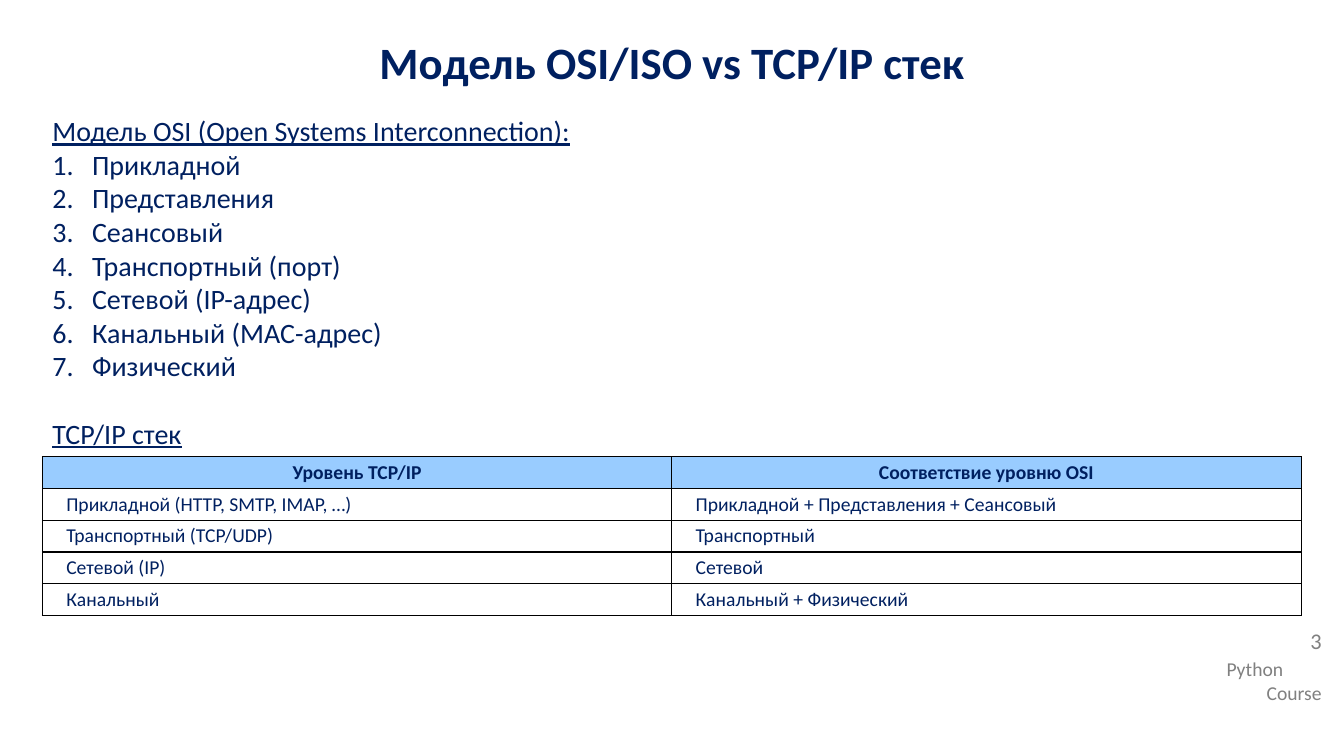
from lxml import etree
from pptx import Presentation
from pptx.dml.color import RGBColor
from pptx.enum import text
from pptx.oxml import ns
from pptx.util import Cm, Pt

NAVY, GREY, SKY, WHITE, BLACK = "002060", "808080", "99CCFF", "FFFFFF", "000000"
LEFT, WIDTH = 1.07, 31.72
ALIGN = text.PP_ALIGN

LAYERS = [
    "Прикладной", "Представления", "Сеансовый", "Транспортный (порт)",
    "Сетевой (IP-адрес)", "Канальный (MAC-адрес)", "Физический",
]
STACK = [
    ("Уровень TCP/IP", "Соответствие уровню OSI"),
    ("Прикладной (HTTP, SMTP, IMAP, …)", "Прикладной + Представления + Сеансовый"),
    ("Транспортный (TCP/UDP)", "Транспортный"),
    ("Сетевой (IP)", "Сетевой"),
    ("Канальный", "Канальный + Физический"),
]


def colour(value):
    return RGBColor.from_string(value)


def add_xml(parent, tag, **attributes):
    return etree.SubElement(parent, ns.qn(tag), attributes)


def write(para, words, size, ink=NAVY, align=ALIGN.LEFT, **font):
    para.alignment = align
    span = para.add_run()
    span.text = words
    span.font.color.rgb = colour(ink)
    for name, value in {"name": "Calibri", "size": Pt(size), **font}.items():
        setattr(span.font, name, value)


def indent(para, left, first=0):
    properties = para._p.get_or_add_pPr()
    properties.set("marL", str(Cm(left)))
    properties.set("indent", str(Cm(first)))
    return properties


def add_paras(frame, lines):
    """Write (words, format) pairs, one per paragraph, and return the paragraphs."""
    for number, (words, style) in enumerate(lines):
        para = frame.add_paragraph() if number else frame.paragraphs[0]
        write(para, words, **style)
    return frame.paragraphs


def add_text(page, box, lines):
    frame = page.shapes.add_textbox(*map(Cm, box)).text_frame
    frame.word_wrap = True
    return add_paras(frame, lines)


def add_title(page, box, words):
    title = page.shapes.title
    for name, value in zip(("left", "top", "width", "height"), box):
        setattr(title, name, Cm(value))
    frame = title.text_frame
    frame.auto_size = text.MSO_AUTO_SIZE.NONE
    frame.vertical_anchor = text.MSO_ANCHOR.MIDDLE
    para = frame.paragraphs[0]
    para.space_after = Pt(5)
    write(para, words, 32, align=ALIGN.CENTER, bold=True)


def add_layers(page, box):
    plain = {"size": 20, "align": ALIGN.JUSTIFY}
    heading = {**plain, "underline": True}
    lines = [("Модель OSI (Open Systems Interconnection):", heading)]
    lines += [(layer, plain) for layer in LAYERS]
    lines.append(("TCP/IP стек", heading))
    paras = add_text(page, box, lines)
    for para in paras[1:-1]:
        properties = indent(para, 1, -1)
        add_xml(properties, "a:buFont", typeface="+mj-lt")
        add_xml(properties, "a:buAutoNum", type="arabicPeriod")
    paras[-1].space_before = Pt(24)


def format_cell(cell, words, is_head):
    cell.vertical_anchor = text.MSO_ANCHOR.MIDDLE
    side, edge = (0.03, 0) if is_head else (0.1, 0.1)
    cell.margin_left = cell.margin_right = Cm(side)
    cell.margin_top = cell.margin_bottom = Cm(edge)
    para = cell.text_frame.paragraphs[0]
    write(para, words, 14, align=ALIGN.CENTER if is_head else ALIGN.LEFT, bold=is_head)
    if not is_head:
        indent(para, 0.5)
    properties = cell._tc.get_or_add_tcPr()
    for tag in ("a:lnL", "a:lnR", "a:lnT", "a:lnB"):
        line = add_xml(properties, tag, w=str(Pt(1)))
        add_xml(add_xml(line, "a:solidFill"), "a:srgbClr", val=BLACK)
    cell.fill.solid()
    cell.fill.fore_color.rgb = colour(SKY if is_head else WHITE)


def add_stack_table(page, box):
    table = page.shapes.add_table(len(STACK), 2, *map(Cm, box)).table
    table.first_row = table.horz_banding = False
    for column in table.columns:
        column.width = Cm(box[2] / 2)
    for number, (row, entries) in enumerate(zip(table.rows, STACK)):
        row.height = Cm(box[3] / len(STACK))
        for cell, words in zip(row.cells, entries):
            format_cell(cell, words, number == 0)


def add_footer(page, left, top, width):
    small = {"size": 14, "ink": GREY}
    add_text(page, (left, top + 0.68, width, 1.45),
             [("Python", small), ("Course", {**small, "align": ALIGN.RIGHT})])
    number = add_text(page, (left, top, width, 1.14),
                      [("3", {"size": 16, "ink": GREY, "align": ALIGN.RIGHT})])
    number[0].line_spacing = 0.9


def main():
    deck = Presentation()
    deck.slide_width, deck.slide_height = Cm(33.87), Cm(19.05)
    page = deck.slides.add_slide(deck.slide_layouts[5])
    add_footer(page, 30.66, 15.75, 2.9)
    add_title(page, (0, 0.58, 33.87, 1.93), "Модель OSI/ISO vs TCP/IP стек")
    add_layers(page, (LEFT, 2.74, WIDTH, 15.82))
    add_stack_table(page, (LEFT, 11.51, WIDTH, 4))
    deck.save("out.pptx")


if __name__ == "__main__":
    main()
